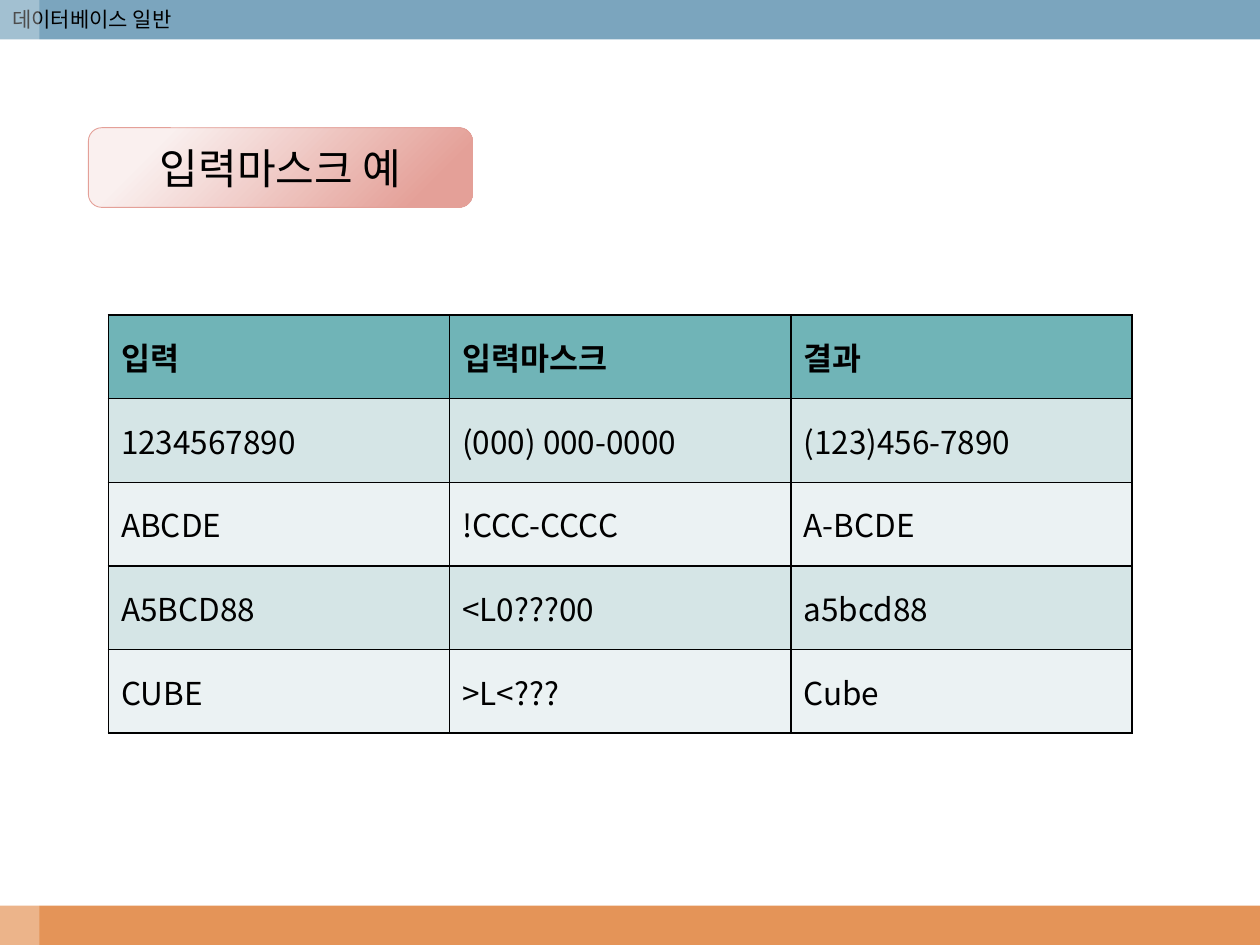
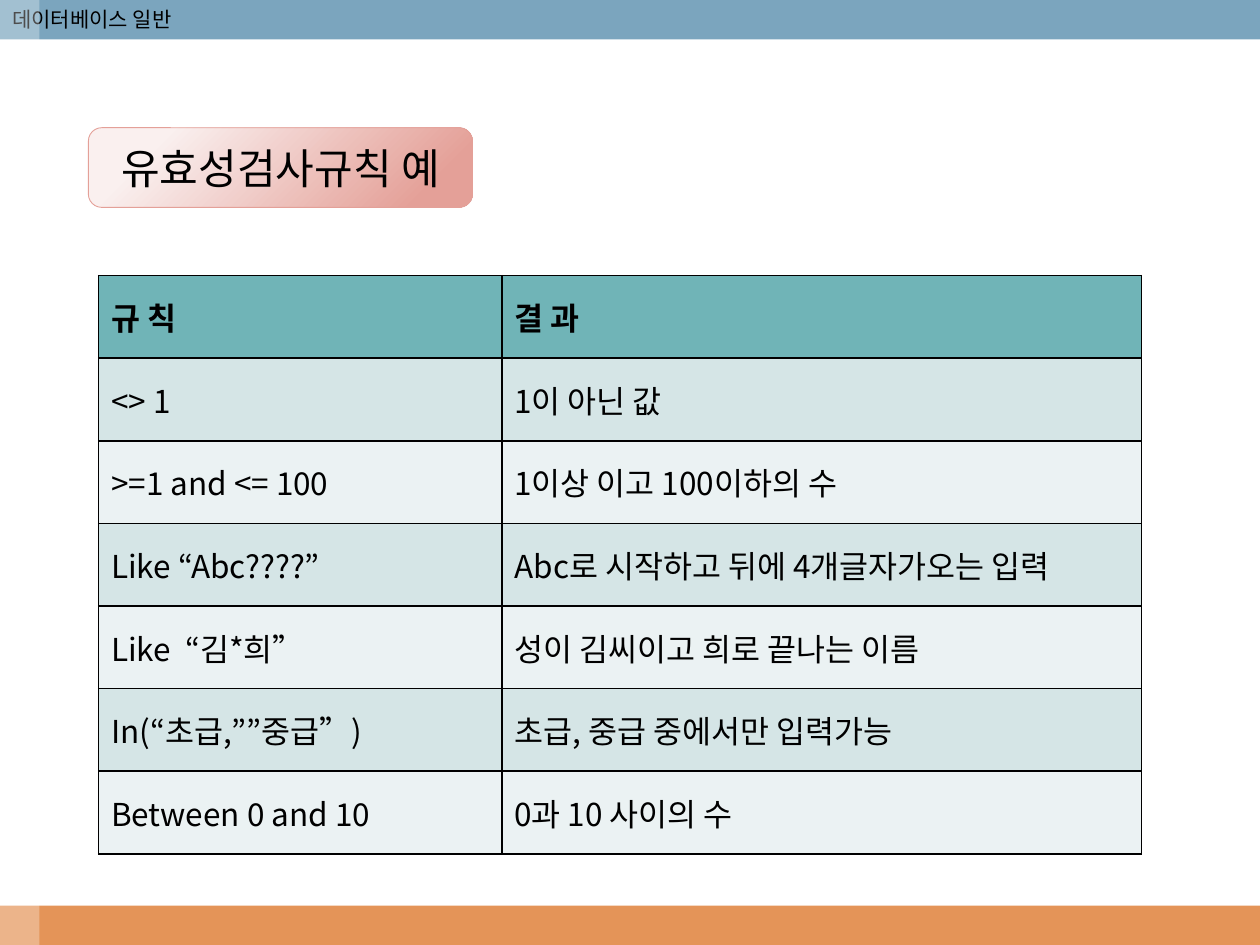
from lxml import etree
from pptx import Presentation
from pptx import util as u
from pptx.dml.color import RGBColor
from pptx.enum import shapes, text
from pptx.oxml import ns

FONT = "Noto Sans CJK KR"
COLORS = {
    "ink": "000000",
    "top_band": "7BA5BE",
    "bottom_band": "E49458",
    "strip": "FFFFFF",
    "title_light": "FAF0EF",
    "title_dark": "E4A098",
    "header_row": "70B4B7",
    "odd_row": "D5E5E6",
    "even_row": "EBF2F3",
}
WIDTH, HEIGHT, BAND = 720, 540, 22.5

MASK_ROWS = [
    ("입력", "입력마스크", "결과"),
    ("1234567890", "(000) 000-0000", "(123)456-7890"),
    ("ABCDE", "!CCC-CCCC", "A-BCDE"),
    ("A5BCD88", "<L0???00", "a5bcd88"),
    ("CUBE", ">L<???", "Cube"),
]
RULE_ROWS = [
    ("규 칙", "결 과"),
    ("<> 1", "1이 아닌 값"),
    (">=1 and <= 100", "1이상 이고 100이하의 수"),
    ("Like “Abc????”", "Abc로 시작하고 뒤에 4개글자가오는 입력"),
    ("Like  “김*희”", "성이 김씨이고 희로 끝나는 이름"),
    ("In(“초급,””중급”)", "초급, 중급 중에서만 입력가능"),
    ("Between 0 and 10", "0과 10 사이의 수"),
]


def color(name):
    return RGBColor.from_string(COLORS[name])


def box(left, top, width, height):
    return [u.Pt(length) for length in (left, top, width, height)]


def write(frame, content, size, bold=False):
    """Fill the first paragraph, with the font set for Latin and Korean."""
    paragraph = frame.paragraphs[0]
    paragraph.text = content
    font = paragraph.font
    font.name, font.size, font.bold = FONT, u.Pt(size), bold
    font.color.rgb = color("ink")
    latin = paragraph._p.pPr.find(".//" + ns.qn("a:latin"))
    korean = etree.Element(ns.qn("a:ea"), typeface=FONT)
    latin.addnext(korean)
    return paragraph


def add_band(slide, left, top, width, height, fill, opacity=100):
    band = slide.shapes.add_shape(
        shapes.MSO_SHAPE.RECTANGLE, *box(left, top, width, height))
    band.shadow.inherit = False
    band.line.fill.background()
    band.fill.solid()
    band.fill.fore_color.rgb = color(fill)
    if opacity < 100:
        rgb = band._element.spPr.find(".//" + ns.qn("a:srgbClr"))
        etree.SubElement(rgb, ns.qn("a:alpha"), val=str(opacity * 1000))


def add_frame(slide):
    """Draw the bands, chapter name and pale left strip of every slide."""
    add_band(slide, 0, HEIGHT - BAND, WIDTH, BAND, "bottom_band")
    add_band(slide, 0, 0, WIDTH, BAND, "top_band")
    chapter = slide.shapes.add_textbox(*box(0, 0, 124.5, 21.8)).text_frame
    chapter.word_wrap = False
    chapter.auto_size = text.MSO_AUTO_SIZE.SHAPE_TO_FIT_TEXT
    write(chapter, "데이터베이스 일반", 12)
    add_band(slide, 0, 0, BAND, HEIGHT, "strip", opacity=30)


def add_title(slide, content):
    title = slide.shapes.add_shape(
        shapes.MSO_SHAPE.ROUNDED_RECTANGLE, *box(50.5, 73, 219.5, 45.5))
    title.shadow.inherit = False
    title.fill.gradient()
    title.fill.gradient_angle = 315
    stops = ((0.18, "title_light"), (0.87, "title_dark"))
    for stop, (position, name) in zip(title.fill.gradient_stops, stops):
        stop.position = position
        stop.color.rgb = color(name)
    title.line.color.rgb = color("title_dark")
    title.line.width = u.Pt(0.5)
    title.text_frame.vertical_anchor = text.MSO_ANCHOR.MIDDLE
    write(title.text_frame, content, 24).alignment = text.PP_ALIGN.CENTER


def add_borders(cell):
    properties = cell._tc.get_or_add_tcPr()
    for side in ("lnL", "lnR", "lnT", "lnB"):
        line = etree.SubElement(properties, ns.qn("a:" + side), w=str(u.Pt(1)))
        fill = etree.SubElement(line, ns.qn("a:solidFill"))
        etree.SubElement(fill, ns.qn("a:srgbClr"), val=COLORS["ink"])


def row_color(index):
    if index == 0:
        return "header_row"
    return "odd_row" if index % 2 else "even_row"


def add_grid(slide, left, top, column_widths, row_height, rows):
    table = slide.shapes.add_table(
        len(rows), len(column_widths),
        *box(left, top, sum(column_widths), row_height * len(rows))).table
    for column, width in zip(table.columns, column_widths):
        column.width = u.Pt(width)
    for index, values in enumerate(rows):
        table.rows[index].height = u.Pt(row_height)
        for cell, value in zip(table.rows[index].cells, values):
            add_borders(cell)
            cell.fill.solid()
            cell.fill.fore_color.rgb = color(row_color(index))
            cell.vertical_anchor = text.MSO_ANCHOR.MIDDLE
            write(cell.text_frame, value, 18, bold=index == 0)


def add_example_slide(presentation, title, **grid):
    slide = presentation.slides.add_slide(presentation.slide_layouts[6])
    add_frame(slide)
    add_grid(slide, **grid)
    add_title(slide, title)


def main():
    presentation = Presentation()
    presentation.slide_width, presentation.slide_height = u.Pt(WIDTH), u.Pt(HEIGHT)
    add_example_slide(presentation, "입력마스크 예", left=62, top=180,
                      column_widths=[195] * 3, row_height=47.8, rows=MASK_ROWS)
    add_example_slide(presentation, "유효성검사규칙 예", left=56.3, top=157.5,
                      column_widths=[230.5, 365.5], row_height=47.2, rows=RULE_ROWS)
    presentation.save("out.pptx")


if __name__ == "__main__":
    main()
